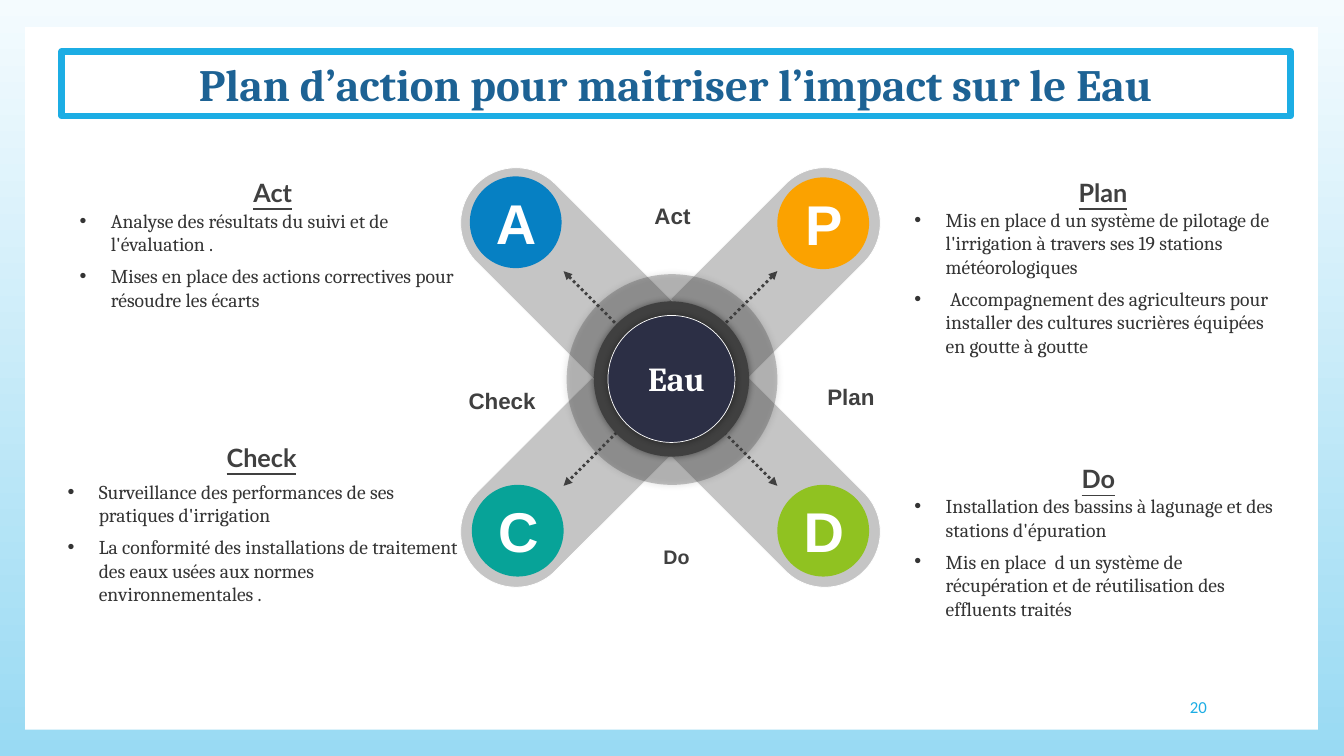
from lxml import etree
from pptx import Presentation
from pptx.dml.color import RGBColor
from pptx.enum.dml import MSO_LINE
from pptx.enum.shapes import MSO_CONNECTOR, MSO_SHAPE as MS
from pptx.enum.text import MSO_ANCHOR, MSO_AUTO_SIZE, PP_ALIGN as AL
from pptx.oxml.ns import qn
from pptx.util import Inches, Pt

rgb = RGBColor.from_string
DARK, WHITE, CYAN = "404040", "FFFFFF", "1CADE4"

prs = Presentation()
prs.slide_width, prs.slide_height = Inches(13.33), Inches(7.5)
s = prs.slides.add_slide(prs.slide_layouts[4])  # Comparison: title and four bodies


def write(sp, lines, color, align, **fmt):
    tf = sp.text_frame
    tf.word_wrap = True
    tf.auto_size = MSO_AUTO_SIZE.NONE
    for i, line in enumerate(lines):
        p = tf.add_paragraph() if i else tf.paragraphs[0]
        p.alignment = align
        r = p.add_run()
        r.text = line
        r.font.color.rgb = rgb(color)
        for name, value in fmt.items():
            setattr(r.font, name, value)
    return tf


def add_shape(kind, box, fill, line=None, alpha=None, shadow=False):
    sp = s.shapes.add_shape(kind, *map(Inches, box))
    sp.fill.solid()
    sp.fill.fore_color.rgb = rgb(fill)
    if alpha:
        clr = sp._element.spPr.find(".//" + qn("a:srgbClr"))
        etree.SubElement(clr, qn("a:alpha"), val=str(alpha * 1000))
    if line:
        sp.line.color.rgb = rgb(line)
        sp.line.width = Pt(0.5)
    else:
        sp.line.fill.background()
    sp.shadow.inherit = False
    if shadow:
        effects = sp._element.spPr.find(qn("a:effectLst"))
        glow = etree.SubElement(effects, qn("a:outerShdw"), blurRad=str(Pt(5)), dist="0", dir="0")
        clr = etree.SubElement(glow, qn("a:srgbClr"), val="000000")
        etree.SubElement(clr, qn("a:alpha"), val="40000")
    return sp


# Background gradient and white page behind everything
bg = s.background.fill
bg.gradient()
bg.gradient_angle = 270
for stop, color in zip(bg.gradient_stops, ("F4FBFE", "99DAF3")):
    stop.color.rgb = rgb(color)
page = add_shape(MS.RECTANGLE, (0.25, 0.27, 12.82, 6.97), WHITE)
s.shapes._spTree.insert(2, page._element)

# Framed title
title = s.shapes.title
title.left, title.top, title.width, title.height = map(Inches, (0.61, 0.51, 12.19, 0.64))
title.fill.solid()
title.fill.fore_color.rgb = rgb(WHITE)
title.line.color.rgb = rgb(CYAN)
title.line.width = Pt(4.5)
write(title, ["Plan d’action pour maitriser l’impact sur le Eau"], "1D6294", AL.CENTER,
      size=Pt(32), name="Cambria", bold=True)

# Four headed lists: heading, heading box, list box, items
lists = [
    ("Act", (0.69, 1.71, 4.03, 0.4), (0.69, 2.02, 3.97, 1.12),
     ["Analyse des résultats du suivi et de l'évaluation .",
      "Mises en place des actions correctives pour résoudre les écarts"]),
    ("Check", (0.73, 4.34, 3.73, 0.4), (0.57, 4.71, 4.19, 1.36),
     ["Surveillance des performances de ses pratiques d'irrigation",
      "La conformité des installations de traitement des eaux usées aux normes environnementales ."]),
    ("Plan", (8.96, 1.71, 3.96, 0.4), (8.97, 2.01, 3.9, 1.6),
     ["Mis en place d un système de pilotage de l'irrigation à travers ses 19 stations météorologiques",
      " Accompagnement des agriculteurs pour installer des cultures sucrières équipées en goutte à goutte"]),
    ("Do", (8.96, 4.55, 3.87, 0.4), (8.97, 4.85, 3.9, 1.13),
     ["Installation des bassins à lagunage et des stations d'épuration",
      "Mis en place  d un système de récupération et de réutilisation des effluents traités"]),
]
for idx, (head, head_box, box, items) in enumerate(lists, 1):
    write(s.shapes.add_textbox(*map(Inches, head_box)), [head], DARK, AL.CENTER,
          size=Pt(18), name="Lato", bold=True, underline=True)
    body = s.placeholders[idx]
    body.left, body.top, body.width, body.height = map(Inches, box)
    tf = write(body, items, "343434", AL.LEFT, size=Pt(14), name="Cambria", bold=False)
    tf.vertical_anchor = MSO_ANCHOR.TOP
    for p in tf.paragraphs:
        p.space_before = Pt(6)
        pPr = p._p.get_or_add_pPr()
        pPr.set("marL", str(Inches(0.31)))
        pPr.set("indent", str(-Inches(0.31)))
        etree.SubElement(pPr, qn("a:buFont"), typeface="Arial")
        etree.SubElement(pPr, qn("a:buChar"), char="•")

# Labels between the arms
for label, x, y, size in [("Act", 5.14, 1.96, 16), ("Plan", 6.91, 3.75, 16),
                          ("Check", 3.45, 3.79, 16), ("Do", 5.18, 5.36, 14)]:
    write(s.shapes.add_textbox(*map(Inches, (x, y, 3.06, 0.37))), [label], DARK, AL.CENTER,
          size=Pt(size), name="Arial", bold=True)

# Crossed arms and outer ring
for angle in (45, 315):
    arm = add_shape(MS.ROUNDED_RECTANGLE, (6.1, 1.03, 1.1, 5.43), DARK, WHITE, alpha=30)
    arm.adjustments[0] = 0.5
    arm.rotation = angle
add_shape(MS.OVAL, (5.62, 2.72, 2.09, 2.09), DARK, alpha=30, shadow=True)

# Dotted double arrows
for x1, x2 in [(5.59, 7.71), (7.71, 5.59)]:
    cn = s.shapes.add_connector(MSO_CONNECTOR.STRAIGHT, *map(Inches, (x1, 2.69, x2, 4.82)))
    cn.line.color.rgb = rgb(DARK)
    cn.line.width = Pt(2)
    cn.line.dash_style = MSO_LINE.ROUND_DOT
    for end in ("a:headEnd", "a:tailEnd"):
        etree.SubElement(cn.line._get_or_add_ln(), qn(end), type="triangle")
    etree.SubElement(cn._element.spPr, qn("a:effectLst"))

# Hub
add_shape(MS.OVAL, (5.89, 2.99, 1.54, 1.54), DARK, shadow=True)
add_shape(MS.OVAL, (6.03, 3.13, 1.26, 1.26), "2C2F45", WHITE, shadow=True)
write(s.shapes.add_textbox(*map(Inches, (6.33, 3.5, 0.83, 0.5))), ["Eau"], WHITE, AL.LEFT,
      size=Pt(24), name="Cambria", bold=True)

# Letter discs at the arm ends
for letter, x, y, color in [("A", 4.66, 1.75, "0680C3"), ("P", 7.71, 1.76, "FBA200"),
                            ("C", 4.68, 4.81, "07A398"), ("D", 7.71, 4.81, "90C221")]:
    add_shape(MS.OVAL, (x, y, 0.91, 0.91), color)
    write(s.shapes.add_textbox(*map(Inches, (x + 0.01, y + 0.07, 0.9, 0.77))), [letter], WHITE,
          AL.CENTER, size=Pt(40), name="Arial", bold=True)

# Page number
number = s.shapes.add_textbox(*map(Inches, (10.2, 6.81, 1.87, 0.4)))
tf = write(number, ["20"], CYAN, AL.RIGHT, size=Pt(12), name="Calibri")
tf.vertical_anchor = MSO_ANCHOR.MIDDLE

prs.save("out.pptx")
